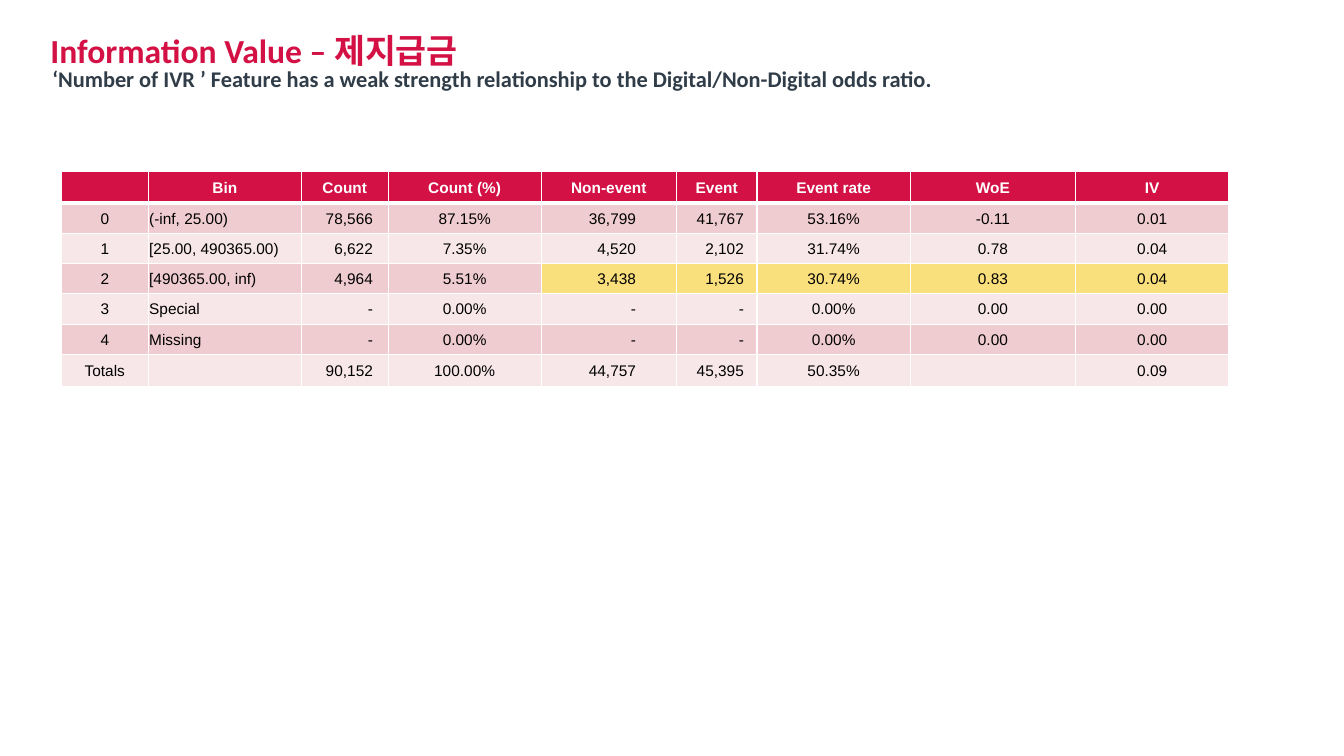
from lxml import etree
from pptx import Presentation
from pptx.dml.color import RGBColor
from pptx.enum.text import MSO_ANCHOR, MSO_AUTO_SIZE, PP_ALIGN
from pptx.oxml.ns import qn
from pptx.util import Inches, Pt

RED = RGBColor(0xD3, 0x11, 0x45)
SLATE = RGBColor(0x30, 0x3D, 0x48)
WHITE = RGBColor(0xFF, 0xFF, 0xFF)
BLACK = RGBColor(0, 0, 0)
PINK = RGBColor(0xEF, 0xCC, 0xCF)
PALE_PINK = RGBColor(0xF7, 0xE7, 0xE9)
YELLOW = RGBColor(0xFA, 0xDF, 0x7D)
LEFT, CENTER, RIGHT = PP_ALIGN.LEFT, PP_ALIGN.CENTER, PP_ALIGN.RIGHT
TOP, MIDDLE = MSO_ANCHOR.TOP, MSO_ANCHOR.MIDDLE
NO_AUTOFIT = MSO_AUTO_SIZE.NONE


def write(tf, text, size=11, font="Arial", color=BLACK, bold=False, align=LEFT):
    p = tf.paragraphs[0]
    p.alignment = align
    r = p.add_run()
    r.text = text
    r.font.size = Pt(size)
    r.font.name = font
    r.font.bold = bold
    r.font.color.rgb = color
    return p


def add_border(cell, side, width):
    ln = etree.SubElement(cell._tc.get_or_add_tcPr(), qn(f"a:ln{side}"), w=str(Pt(width)))
    fill = etree.SubElement(ln, qn("a:solidFill"))
    etree.SubElement(fill, qn("a:srgbClr"), val=str(WHITE))


prs = Presentation()
prs.slide_width = Inches(13.33)
prs.slide_height = Inches(7.5)
s = prs.slides.add_slide(prs.slide_layouts[5])

title = s.shapes.title
title.left, title.top = Inches(0.5), Inches(0.2)
title.width, title.height = Inches(11.92), Inches(0.45)
subtitle = s.shapes.add_textbox(Inches(0.52), Inches(0.65), Inches(11.75), Inches(0.8))
for sp in (title, subtitle):
    tf = sp.text_frame
    tf.word_wrap = True
    tf.auto_size = NO_AUTOFIT
    tf.vertical_anchor = TOP
    tf.margin_left = tf.margin_top = tf.margin_right = tf.margin_bottom = 0

p = write(title.text_frame, "Information Value – 제지급금", size=24, font="Calibri",
          color=RED, bold=True)
p.line_spacing = 1.25
p.space_before = Pt(12)
write(subtitle.text_frame,
      "‘Number of IVR ’ Feature has a weak strength relationship to the "
      "Digital/Non-Digital odds ratio.",
      size=16, font="Calibri", color=SLATE, bold=True)

rows = [
    ["", "Bin", "Count", "Count (%)", "Non-event", "Event", "Event rate", "WoE", "IV"],
    ["0", "(-inf, 25.00)", "78,566", "87.15%", "36,799", "41,767", "53.16%", "-0.11", "0.01"],
    ["1", "[25.00, 490365.00)", "6,622", "7.35%", "4,520", "2,102", "31.74%", "0.78", "0.04"],
    ["2", "[490365.00, inf)", "4,964", "5.51%", "3,438", "1,526", "30.74%", "0.83", "0.04"],
    ["3", "Special", "-", "0.00%", "-", "-", "0.00%", "0.00", "0.00"],
    ["4", "Missing", "-", "0.00%", "-", "-", "0.00%", "0.00", "0.00"],
    ["Totals", "", "90,152", "100.00%", "44,757", "45,395", "50.35%", "", "0.09"],
]
col_widths = [0.86, 1.52, 0.86, 1.52, 1.34, 0.8, 1.52, 1.64, 1.52]
number_margins = {2: 0.15, 4: 0.4, 5: 0.13}

table = s.shapes.add_table(len(rows), len(col_widths), Inches(0.61), Inches(1.7),
                           Inches(sum(col_widths)), Inches(0.3 * len(rows))).table
for col, width in zip(table.columns, col_widths):
    col.width = Inches(width)

for i, row in enumerate(rows):
    table.rows[i].height = Inches(0.3)
    header = i == 0
    for j, text in enumerate(row):
        cell = table.cell(i, j)
        cell.vertical_anchor = MIDDLE
        cell.margin_left = cell.margin_right = cell.margin_top = Inches(0.01)
        cell.margin_bottom = 0
        align = CENTER
        if not header and j == 1:
            align = LEFT
        elif not header and j in number_margins:
            align = RIGHT
            cell.margin_right = Inches(number_margins[j])
        if text:
            write(cell.text_frame, text, color=WHITE if header else BLACK,
                  bold=header, align=align)

        add_border(cell, "L", 1)
        add_border(cell, "R", 1)
        add_border(cell, "T", 3 if i == 1 else 1)
        add_border(cell, "B", 3 if header else 1)
        if header:
            color = RED
        elif i == 3 and j >= 4:
            color = YELLOW
        else:
            color = PINK if i % 2 else PALE_PINK
        cell.fill.solid()
        cell.fill.fore_color.rgb = color

prs.save("out.pptx")
